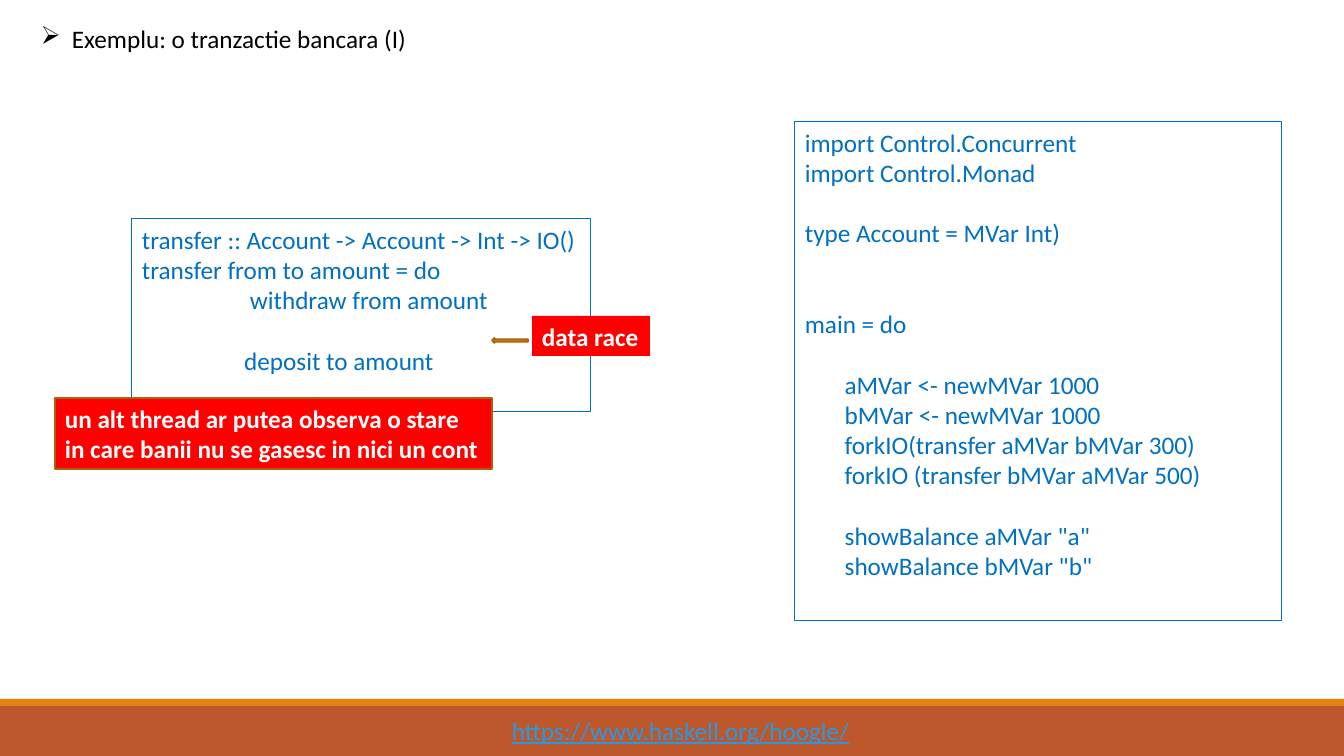
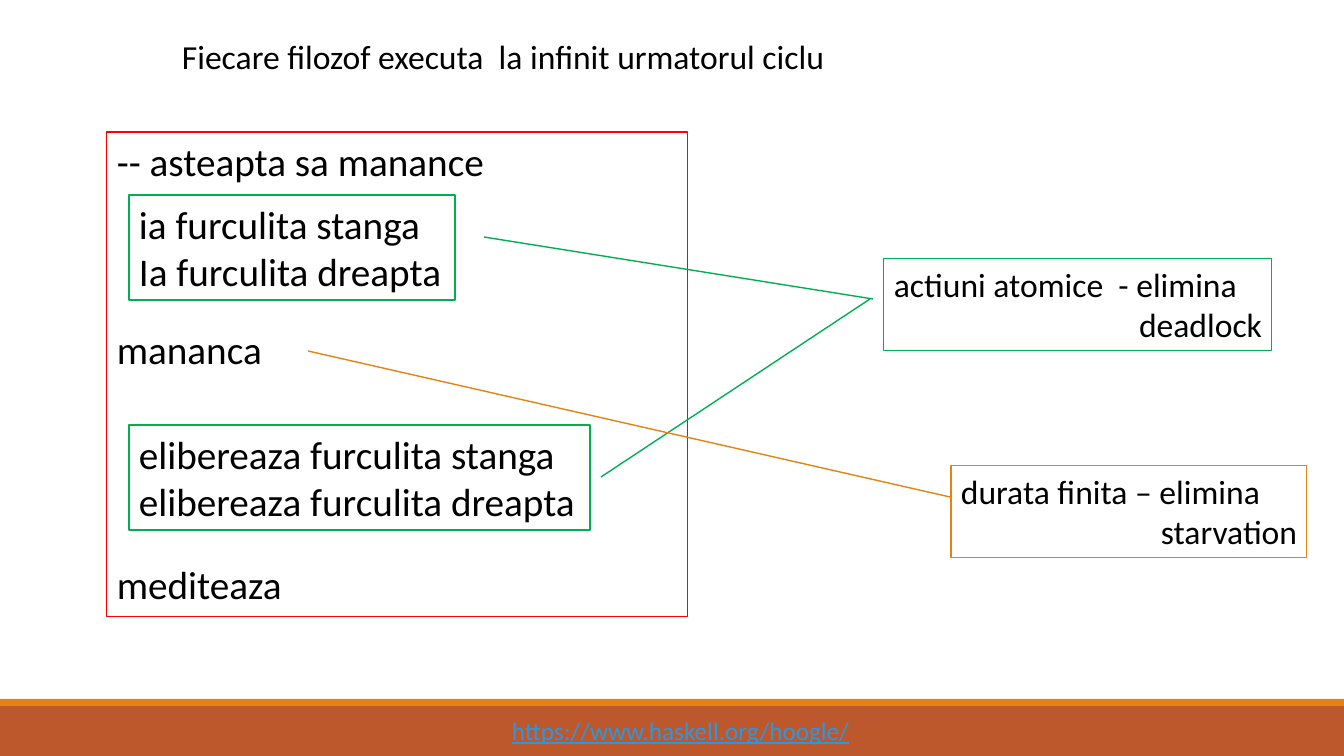
import pptx
import pptx.dml.color
import pptx.enum.shapes
import pptx.enum.text
import pptx.oxml.ns
import pptx.util
from lxml import etree

WIDE, HIGH = 1344, 756
SCALE = 12192000 / WIDE
HUES = {
    "black": "000000", "white": "FFFFFF", "blue": "0070C0", "red": "FF0000",
    "green": "00B050", "amber": "E48312", "brown": "A9610D",
    "rust": "BD582C", "link": "2998E3",
}
SHAPE = pptx.enum.shapes.MSO_SHAPE
RIGHT = {"alignment": pptx.enum.text.PP_ALIGN.RIGHT}


def emu(px):
    return pptx.util.Emu(round(px * SCALE))


def hue(name):
    return pptx.dml.color.RGBColor.from_string(HUES[name])


def apply(item, values):
    for key, value in values.items():
        setattr(item, key, value)


def gap(size, count):
    """Paragraph format that leaves count lines of space above."""
    return {"space_before": pptx.util.Pt(size * 1.2 * count)}


class Deck:
    def __init__(self):
        self.file = pptx.Presentation()
        apply(self.file, {"slide_width": emu(WIDE), "slide_height": emu(HIGH)})
        self.slide = None

    def start(self):
        """Add a slide with the shared footer."""
        self.slide = self.file.slides.add_slide(self.file.slide_layouts[6])
        self.shape((0, 706, WIDE, 50), "rust")
        self.shape((0, 699, WIDE, 7), "amber")
        self.text((502, 710, 362, 40), ["https://www.haskell.org/hoogle/"],
                  color="link", underline=True)

    def paint(self, item, fill, edge, width):
        if fill:
            item.fill.solid()
            item.fill.fore_color.rgb = hue(fill)
        if edge:
            item.line.color.rgb = hue(edge)
            item.line.width = pptx.util.Pt(width)
        else:
            item.line.fill.background()

    def shape(self, box, fill, edge=None, width=1.25, kind=SHAPE.RECTANGLE):
        item = self.slide.shapes.add_shape(kind, *map(emu, box))
        item.shadow.inherit = False
        self.paint(item, fill, edge, width)

    def text(self, box, lines, size=18, color="black", fill=None, edge=None,
             width=0.75, bullet=None, **look):
        """Each line is a string, or a string with its paragraph format."""
        item = self.slide.shapes.add_textbox(*map(emu, box))
        self.paint(item, fill, edge, width)
        frame = item.text_frame
        frame.word_wrap = True
        font = {"name": "Calibri", "size": pptx.util.Pt(size), **look}
        for i, line in enumerate(lines):
            words, form = (line, {}) if isinstance(line, str) else line
            para = frame.paragraphs[0] if i == 0 else frame.add_paragraph()
            if bullet:
                self.mark(para, bullet)
            apply(para, form)
            run = para.add_run()
            run.text = words
            apply(run.font, font)
            run.font.color.rgb = hue(color)

    def mark(self, para, sign, hang=31):
        """Give the paragraph a hanging bullet."""
        props = para._p.get_or_add_pPr()
        props.set("marL", str(emu(hang)))
        props.set("indent", str(-emu(hang)))
        etree.SubElement(props, pptx.oxml.ns.qn("a:buChar")).set("char", sign)

    def line(self, ends, color):
        kind = pptx.enum.shapes.MSO_CONNECTOR.STRAIGHT
        item = self.slide.shapes.add_connector(kind, *map(emu, ends))
        item.line.color.rgb = hue(color)
        item.line.width = pptx.util.Pt(1)
        etree.SubElement(item._element.spPr, pptx.oxml.ns.qn("a:effectLst"))


def bank(deck):
    deck.start()
    deck.text((31, 18, 390, 40), ["Exemplu: o tranzactie bancara (I)"],
              bullet="➢")
    deck.text((795, 122, 487, 499), [
        "import Control.Concurrent",
        "import Control.Monad",
        ("type Account = MVar Int)", gap(18, 1)),
        ("main = do", gap(18, 2)),
        ("       aMVar <- newMVar 1000", gap(18, 1)),
        "       bMVar <- newMVar 1000",
        "       forkIO(transfer aMVar bMVar 300)",
        "       forkIO (transfer bMVar aMVar 500)",
        ('       showBalance aMVar "a"', gap(18, 1)),
        '       showBalance bMVar "b"',
    ], color="blue", edge="blue")
    deck.text((132, 219, 459, 193), [
        "transfer :: Account -> Account -> Int -> IO()",
        "transfer from to amount = do",
        "                   withdraw from amount",
        ("                  deposit to amount", gap(18, 1)),
    ], color="blue", edge="blue")
    alert = {"color": "white", "fill": "red", "bold": True}
    deck.text((55, 398, 437, 71), [
        "un alt thread ar putea observa o stare",
        "in care banii nu se gasesc in nici un cont",
    ], edge="brown", width=1.25, **alert)
    deck.text((532, 316, 118, 40), ["data race"], **alert)
    deck.shape((492, 338, 36, 5), "amber", "brown", kind=SHAPE.LEFT_ARROW)


def forks(deck):
    deck.start()
    deck.text((107, 132, 581, 485), [
        "-- asteapta sa manance",
        ("mananca", gap(28, 3)),
        ("mediteaza", gap(28, 4)),
    ], size=28, edge="red")
    deck.text((172, 31, 712, 50),
              ["Fiecare filozof executa  la infinit urmatorul ciclu"], size=24)
    for top, wide, verb in ((195, 326, ("ia", "Ia")),
                            (425, 461, ("elibereaza", "elibereaza"))):
        sides = zip(verb, ("stanga", "dreapta"))
        deck.text((129, top, wide, 105),
                  [f"{word} furculita {side}" for word, side in sides],
                  size=28, fill="white", edge="green", width=1.25)
    deck.line((484, 237, 873, 299), "green")
    deck.line((601, 477, 870, 299), "green")
    deck.line((308, 351, 950, 497), "amber")
    deck.text((884, 259, 388, 92),
              ["actiuni atomice  - elimina", ("deadlock", RIGHT)],
              size=24, edge="green")
    deck.text((951, 466, 356, 92),
              ["durata finita – elimina", ("starvation", RIGHT)],
              size=24, edge="amber")


def main():
    deck = Deck()
    bank(deck)
    forks(deck)
    deck.file.save("out.pptx")


if __name__ == "__main__":
    main()
